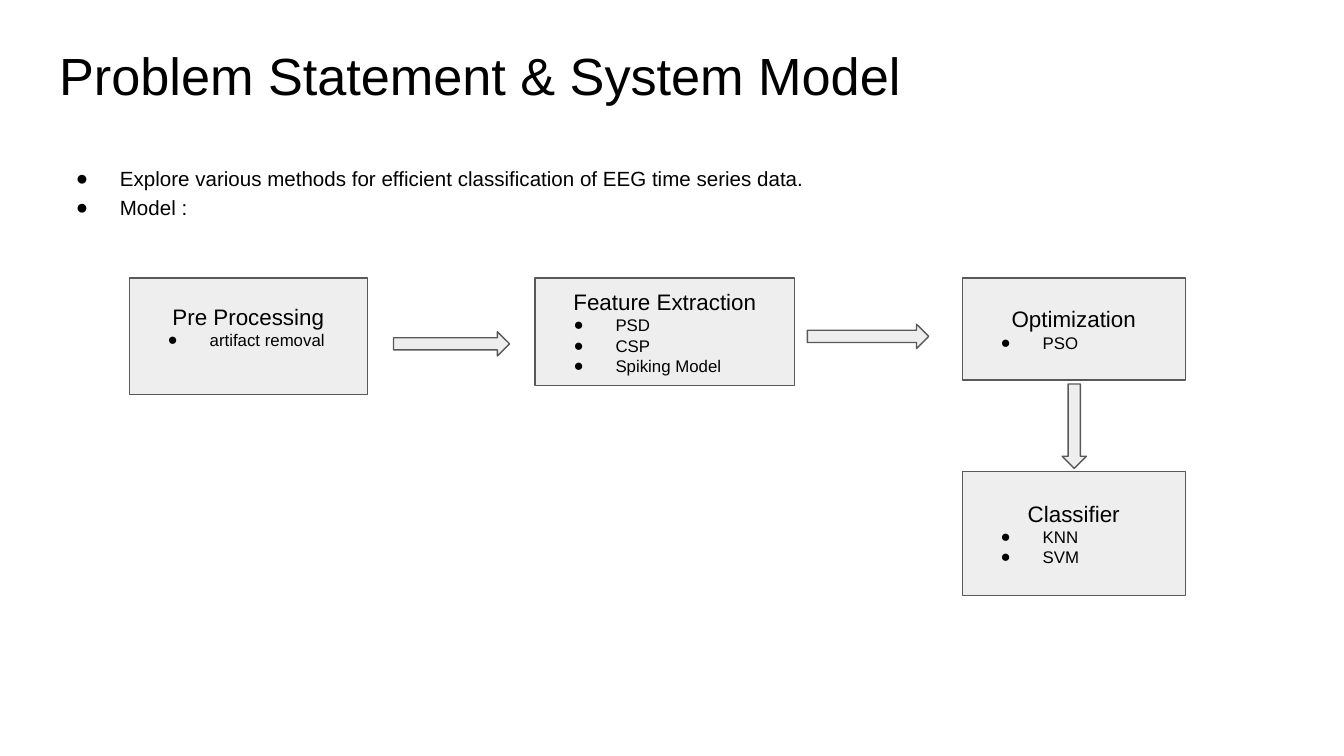
import pptx
import pptx.dml.color
import pptx.enum.shapes
import pptx.enum.text
import pptx.oxml.ns
import pptx.util
import lxml.etree

Pt = pptx.util.Pt
ALIGN = pptx.enum.text.PP_ALIGN
ANCHOR = pptx.enum.text.MSO_ANCHOR
SHAPE = pptx.enum.shapes.MSO_SHAPE

FONT = "Arial"
BLACK, PALE_GREY, DARK_GREY = "000000", "EEEEEE", "595959"
INSET = 7.2
ROW_TOP = 149
RIGHT_COLUMN, RIGHT_WIDTH = 515.5, 119.5

# heading, methods, (left, top, width, height), extra bottom inset
STAGES = [
    ("Pre Processing", ["artifact removal"], (69.3, ROW_TOP, 127.5, 62.5), 10.4),
    ("Feature Extraction", ["PSD", "CSP", "Spiking Model"],
     (286.7, ROW_TOP, 139, 57.7), 0),
    ("Optimization", ["PSO"], (RIGHT_COLUMN, ROW_TOP, RIGHT_WIDTH, 54.7), 0),
    ("Classifier", ["KNN", "SVM"], (RIGHT_COLUMN, 252.5, RIGHT_WIDTH, 66.7), 0),
]
FLOW = [
    (SHAPE.RIGHT_ARROW, (432.5, 173.7, 65, 13)),
    (SHAPE.DOWN_ARROW, (569, 205.7, 13, 45.2)),
    (SHAPE.RIGHT_ARROW, (210.8, 177.7, 62.2, 13)),
]


def rgb(colour):
    return pptx.dml.color.RGBColor.from_string(colour)


def place(shape, box):
    shape.left, shape.top, shape.width, shape.height = map(Pt, box)


def prepare_frame(frame, anchor, extra_bottom=0):
    frame.word_wrap = True
    frame.auto_size = pptx.enum.text.MSO_AUTO_SIZE.NONE
    frame.vertical_anchor = anchor
    frame.margin_left = frame.margin_right = frame.margin_top = Pt(INSET)
    frame.margin_bottom = Pt(INSET + extra_bottom)


def write_paragraph(paragraph, text, size, align=ALIGN.LEFT, spacing=1.0):
    paragraph.alignment = align
    paragraph.line_spacing = spacing
    paragraph.space_before = paragraph.space_after = Pt(0)
    run = paragraph.add_run()
    run.text = text
    run.font.name = FONT
    run.font.size = Pt(size)
    run.font.color.rgb = rgb(BLACK)


def add_bullet(paragraph, size):
    """Give the paragraph a round bullet whose hanging indent grows with the text size."""
    properties = paragraph._p.get_or_add_pPr()
    properties.set("marL", str(Pt(36)))
    properties.set("indent", str(-Pt(18 + size / 2)))
    qn = pptx.oxml.ns.qn
    colour = lxml.etree.SubElement(properties, qn("a:buClr"))
    lxml.etree.SubElement(colour, qn("a:srgbClr"), val=BLACK)
    lxml.etree.SubElement(properties, qn("a:buFont"), typeface=FONT)
    lxml.etree.SubElement(properties, qn("a:buChar"), char="●")


def fill_title(title, text):
    place(title, (24.5, 16, 671, 45))
    prepare_frame(title.text_frame, ANCHOR.TOP)
    write_paragraph(title.text_frame.paragraphs[0], text, 28)


def fill_body(body, points):
    place(body, (21, 80, 671, 269))
    frame = body.text_frame
    prepare_frame(frame, ANCHOR.TOP)
    for index, point in enumerate(points):
        paragraph = frame.add_paragraph() if index else frame.paragraphs[0]
        write_paragraph(paragraph, point, 11, spacing=1.15)
        add_bullet(paragraph, 11)


def add_grey_shape(slide, kind, box):
    shape = slide.shapes.add_shape(kind, *map(Pt, box))
    shape.shadow.inherit = False
    shape.fill.solid()
    shape.fill.fore_color.rgb = rgb(PALE_GREY)
    shape.line.color.rgb = rgb(DARK_GREY)
    shape.line.width = Pt(0.75)
    return shape


def add_stage(slide, heading, methods, box, extra_bottom):
    frame = add_grey_shape(slide, SHAPE.RECTANGLE, box).text_frame
    prepare_frame(frame, ANCHOR.MIDDLE, extra_bottom)
    write_paragraph(frame.paragraphs[0], heading, 12, ALIGN.CENTER)
    for method in methods:
        paragraph = frame.add_paragraph()
        write_paragraph(paragraph, method, 9)
        add_bullet(paragraph, 9)


def main():
    deck = pptx.Presentation()
    deck.slide_width, deck.slide_height = Pt(720), Pt(405)
    slide = deck.slides.add_slide(deck.slide_layouts[1])
    fill_title(slide.shapes.title, "Problem Statement & System Model")
    fill_body(slide.placeholders[1], [
        "Explore various methods for efficient classification of EEG time series data.",
        "Model :",
    ])
    for stage in STAGES:
        add_stage(slide, *stage)
    for direction, box in FLOW:
        add_grey_shape(slide, direction, box)
    deck.save("out.pptx")


if __name__ == "__main__":
    main()
